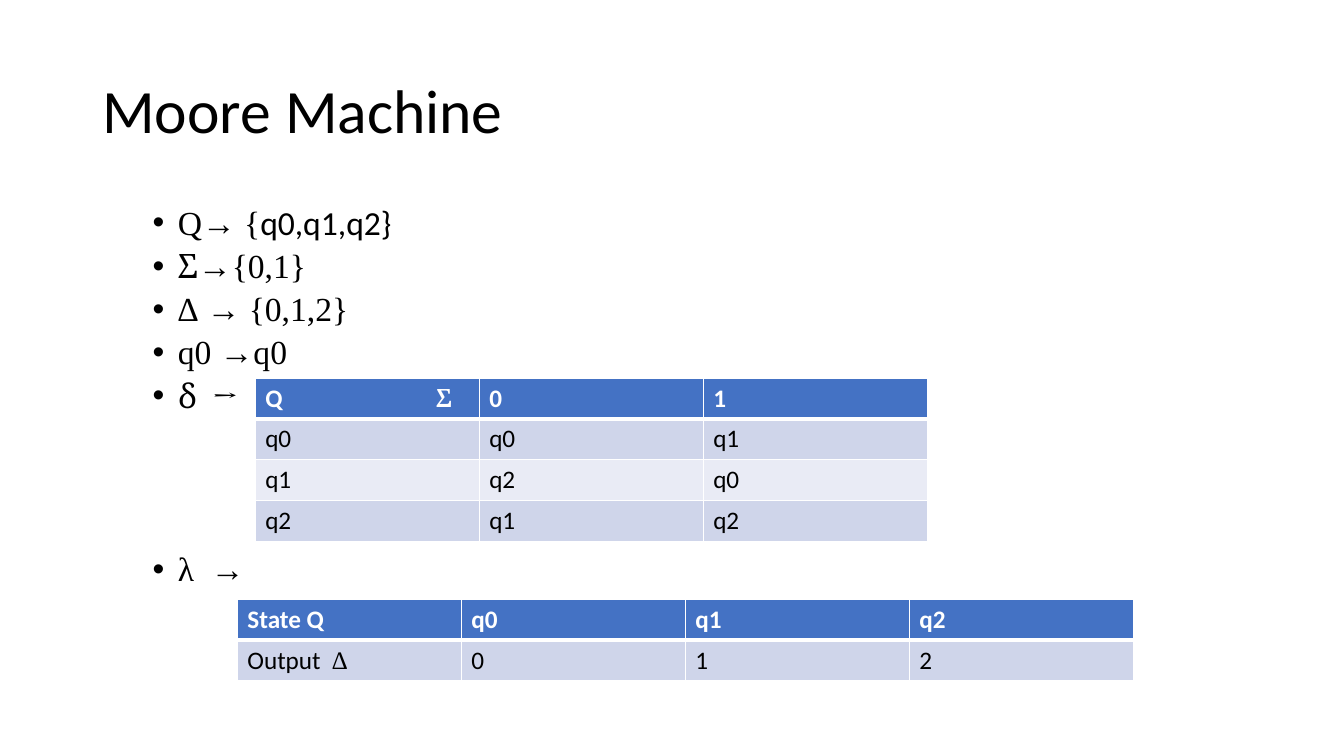
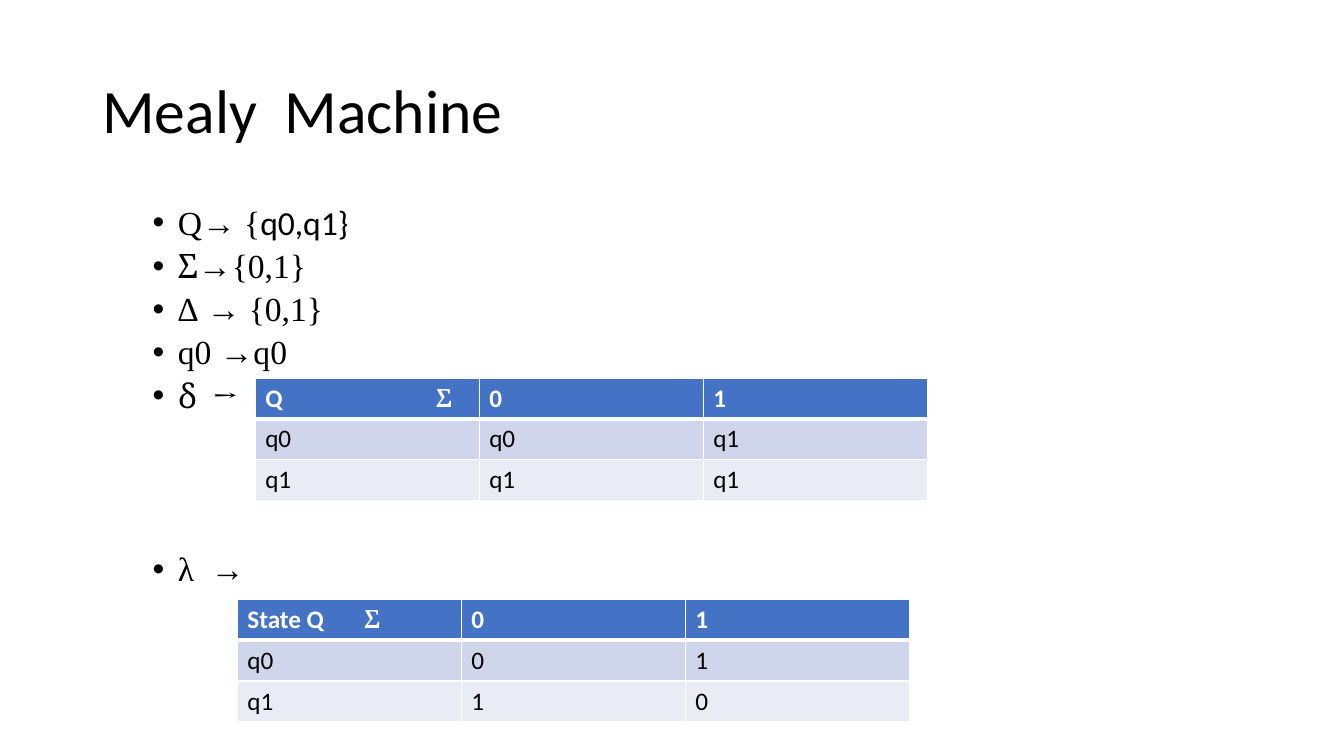
from lxml.etree import SubElement
from pptx import Presentation
from pptx.dml.color import RGBColor
from pptx.enum.text import MSO_ANCHOR as Anchor
from pptx.oxml.ns import qn
from pptx.util import Pt

# Shared look
SANS, SERIF, GREEK = "Calibri", "Times New Roman", "Cambria"
BLACK, WHITE = "000000", "FFFFFF"
HEADER, BANDS = "4472C4", ("CFD5EA", "E9EBF5")

# Shared layout, in points: left, top, width, height
TITLE_BOX = (66, 28.75, 828, 104.4)
BODY_BOX = (66, 143.75, 828, 342.6)
TRANSITION_AT = (182.3, 270)
OUTPUT_AT = (169.5, 428)
COLUMN, ROW = 160, 29.2


def color(hex_code):
    return RGBColor.from_string(hex_code)


def write(paragraph, runs, size=18, font=SANS, ink=BLACK, bold=False,
          spacing=None, before=None, bullet=None, tab=None):
    """Fill a paragraph with runs, each a string or a (string, font) pair."""
    props = paragraph._p.get_or_add_pPr()
    if bullet:
        left, hanging = bullet
        props.set("marL", str(Pt(left)))
        props.set("indent", str(-Pt(hanging)))
        SubElement(props, qn("a:buFont"), typeface="Arial")
        SubElement(props, qn("a:buChar"), char="•")
    if tab:
        stops = SubElement(props, qn("a:tabLst"))
        SubElement(stops, qn("a:tab"), pos=str(Pt(tab)), algn="l")
    if spacing:
        paragraph.line_spacing = spacing
    if before:
        paragraph.space_before = Pt(before)
    for part in [runs] if isinstance(runs, str) else runs:
        words, face = (part, font) if isinstance(part, str) else part
        run = paragraph.add_run()
        run.text = words
        run.font.name, run.font.size, run.font.bold = face, Pt(size), bold
        run.font.color.rgb = color(ink)


def add_frame(slide, box, anchor=Anchor.TOP):
    frame = slide.shapes.add_textbox(*map(Pt, box)).text_frame
    frame.word_wrap = True
    frame.vertical_anchor = anchor
    return frame


def add_title(slide, box, title):
    frame = add_frame(slide, box, Anchor.MIDDLE)
    write(frame.paragraphs[0], title, size=44, spacing=0.9)


def add_definition(slide, box, states, outputs):
    """List the parts of the machine, leaving room for the transition table."""
    items = [
        (["Q→ {", (states + "}", SANS)], None),
        ([("Σ", GREEK), "→{0,1}"], 5),
        ("∆ → {" + outputs + "}", 5),
        ("q0 →q0", 5),
        ([("δ  →", GREEK)], 5),
        ("λ  →", 98),
    ]
    frame = add_frame(slide, box)
    for index, (runs, before) in enumerate(items):
        paragraph = frame.add_paragraph() if index else frame.paragraphs[0]
        write(paragraph, runs, size=24, font=SERIF, spacing=0.9,
              before=before, bullet=(54, 18))


def set_borders(cell, **widths):
    props = cell._tc.get_or_add_tcPr()
    for side in "LRTB":
        line = SubElement(props, qn("a:ln" + side), w=str(Pt(widths.get(side, 1))))
        fill = SubElement(line, qn("a:solidFill"))
        SubElement(fill, qn("a:srgbClr"), val=WHITE)


def add_state_table(slide, at, rows, tab=None):
    """Place a banded table; tab positions the symbol in the corner cell."""
    count = len(rows[0])
    size = (COLUMN * count, ROW * len(rows))
    table = slide.shapes.add_table(len(rows), count, *map(Pt, at + size)).table
    table.horz_banding = False
    for column in table.columns:
        column.width = Pt(COLUMN)
    for r, values in enumerate(rows):
        table.rows[r].height = Pt(ROW)
        is_header = r == 0
        for c, value in enumerate(values):
            cell = table.cell(r, c)
            set_borders(cell, B=3 if is_header else 1, T=3 if r == 1 else 1)
            cell.fill.solid()
            cell.fill.fore_color.rgb = color(HEADER if is_header else BANDS[(r - 1) % 2])
            write(cell.text_frame.paragraphs[0], value, bold=is_header,
                  ink=WHITE if is_header else BLACK,
                  tab=tab if is_header and c == 0 else None)


def add_machine_slide(deck, title, states, outputs, transitions, output_rows,
                      output_tab=None):
    slide = deck.slides.add_slide(deck.slide_layouts[6])
    add_title(slide, TITLE_BOX, title)
    add_definition(slide, BODY_BOX, states, outputs)
    corner = ["Q\t", ("Σ", GREEK)]
    add_state_table(slide, TRANSITION_AT, [[corner, "0", "1"]] + transitions, tab=122)
    add_state_table(slide, OUTPUT_AT, output_rows, tab=output_tab)


def main():
    deck = Presentation()
    deck.slide_width, deck.slide_height = Pt(960), Pt(540)

    add_machine_slide(
        deck, "Moore Machine", "q0,q1,q2", "0,1,2",
        transitions=[["q0", "q0", "q1"], ["q1", "q2", "q0"], ["q2", "q1", "q2"]],
        output_rows=[["State Q", "q0", "q1", "q2"],
                     [["Output  ", ("∆", SERIF)], "0", "1", "2"]])

    add_machine_slide(
        deck, "Mealy  Machine", "q0,q1", "0,1",
        transitions=[["q0", "q0", "q1"], ["q1", "q1", "q1"]],
        output_rows=[[["State Q\t", ("Σ", GREEK)], "0", "1"],
                     ["q0", "0", "1"], ["q1", "1", "0"]],
        output_tab=83.5)

    deck.save("out.pptx")


if __name__ == "__main__":
    main()
